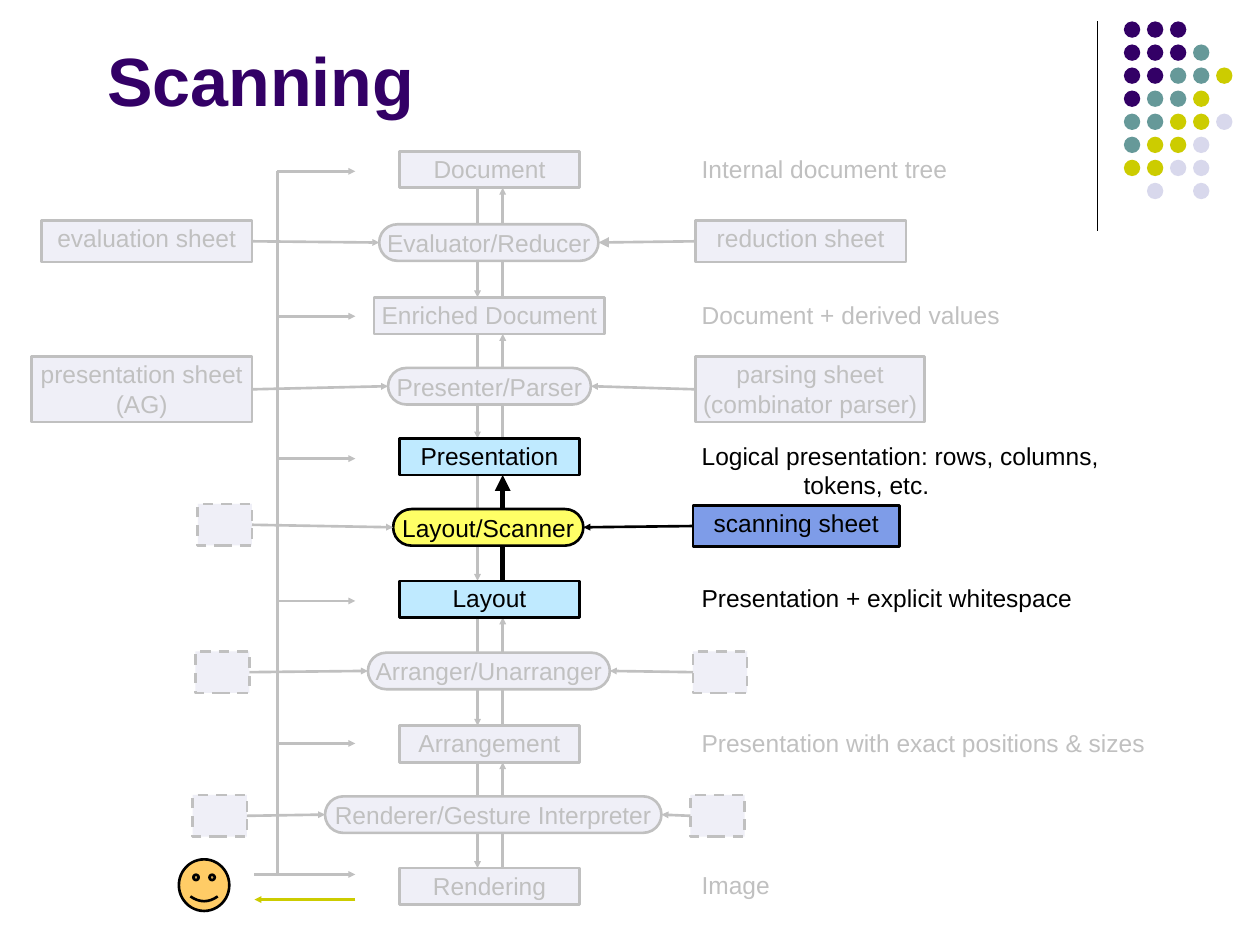
from lxml import etree
from pptx import Presentation
from pptx.dml.color import RGBColor
from pptx.enum.dml import MSO_LINE
from pptx.enum.shapes import MSO_CONNECTOR, MSO_SHAPE
from pptx.enum.text import MSO_ANCHOR, PP_ALIGN
from pptx.oxml.ns import qn
from pptx.util import Inches, Pt

BLACK, GREY, PALE = "000000", "C0C0C0", "EFEFF7"
DIMMED = (PALE, GREY)  # fill, and colour of line and text
ACTIVE_LEVEL = ("BFEAFF", BLACK)
ACTIVE_STEP = ("FFFF66", BLACK)
ACTIVE_SHEET = ("7E9CE8", BLACK)

# name, top, left, width, style, note, y of the rail arrow
LEVELS = [
    ("Document", 1.2, 3.17, 1.43, DIMMED, "Internal document tree", 1.36),
    ("Enriched Document", 2.36, 2.97, 1.83, DIMMED, "Document + derived values", 2.51),
    ("Presentation", 3.48, 3.17, 1.43, ACTIVE_LEVEL,
     "Logical presentation: rows, columns, tokens, etc.", 3.64),
    ("Layout", 4.61, 3.17, 1.43, ACTIVE_LEVEL, "Presentation + explicit whitespace", 4.77),
    ("Arrangement", 5.76, 3.17, 1.43, DIMMED, "Presentation with exact positions & sizes", 5.9),
    ("Rendering", 6.89, 3.17, 1.43, DIMMED, "Image", 6.94),
]
# name, left, top, width, style
STEPS = [
    ("Evaluator/Reducer", 3.01, 1.78, 1.74, DIMMED),
    ("Presenter/Parser", 3.08, 2.92, 1.61, DIMMED),
    ("Layout/Scanner", 3.12, 4.04, 1.51, ACTIVE_STEP),
    ("Arranger/Unarranger", 2.92, 5.18, 1.92, DIMMED),
    ("Renderer/Gesture Interpreter", 2.58, 6.32, 2.67, DIMMED),
]
# one pair per step: lines of text, left, top, width, height, style
SHEETS = [
    ((["evaluation sheet"], 0.33, 1.75, 1.67, 0.33, DIMMED),
     (["reduction sheet"], 5.52, 1.75, 1.67, 0.33, DIMMED)),
    ((["presentation sheet", "(AG)"], 0.25, 2.83, 1.75, 0.52, DIMMED),
     (["parsing sheet", "(combinator parser)"], 5.52, 2.83, 1.82, 0.52, DIMMED)),
    (([], 1.57, 4, 0.43, 0.33, DIMMED),
     (["scanning sheet"], 5.5, 4.01, 1.64, 0.33, ACTIVE_SHEET)),
    (([], 1.55, 5.17, 0.43, 0.33, DIMMED), ([], 5.5, 5.17, 0.43, 0.33, DIMMED)),
    (([], 1.53, 6.31, 0.43, 0.33, DIMMED), ([], 5.48, 6.31, 0.43, 0.33, DIMMED)),
]
DOT_COLORS = {"P": "330066", "T": "669999", "Y": "CCCC00", "L": "D8D8EC"}
DOT_ROWS = ["PPP", "PPPT", "PPTTY", "PTTY", "TTYYL", "TYYL", "YYLL", " L L"]
DOT_PITCH = 0.183
BOX_HEIGHT = 0.29
RAIL_X, DOWN_X, UP_X = 2.2, 3.79, 3.99
RIGHT_SIDE, LEFT_SIDE = 3, 1

deck = Presentation()
deck.slide_width, deck.slide_height = Inches(10), Inches(7.5)
page = deck.slides.add_slide(deck.slide_layouts[5])


def rgb(color):
    return RGBColor.from_string(color)


def add_span(para, text, size, color, bold=False):
    span = para.add_run()
    span.text = text
    span.font.name, span.font.size, span.font.bold = "Arial", Pt(size), bold
    span.font.color.rgb = rgb(color)


def add_line(x1, y1, x2, y2, color=GREY, width=1.5, head=None):
    """Draw a straight line; head is the arrowhead size at its end."""
    line = page.shapes.add_connector(
        MSO_CONNECTOR.STRAIGHT, Inches(x1), Inches(y1), Inches(x2), Inches(y2))
    line.line.color.rgb, line.line.width = rgb(color), Pt(width)
    if head:
        etree.SubElement(line.line._get_or_add_ln(), qn("a:tailEnd"),
                         type="triangle", w=head, len=head)
    etree.SubElement(line._element.spPr, qn("a:effectLst"))
    return line


def add_box(kind, left, top, width, height, fill, outline=None, lines=(), anchor=MSO_ANCHOR.TOP):
    box = page.shapes.add_shape(kind, Inches(left), Inches(top), Inches(width), Inches(height))
    box.shadow.inherit = False
    box.fill.solid()
    box.fill.fore_color.rgb = rgb(fill)
    if outline:
        box.line.color.rgb, box.line.width = rgb(outline), Pt(1.5)
    else:
        box.line.fill.background()
    frame = box.text_frame
    frame.word_wrap, frame.vertical_anchor = False, anchor
    frame.margin_left = frame.margin_right = Inches(0.05)
    frame.margin_top = frame.margin_bottom = Inches(0.02)
    for number, text in enumerate(lines):
        para = frame.add_paragraph() if number else frame.paragraphs[0]
        para.alignment = PP_ALIGN.CENTER
        add_span(para, text, 14, outline)
    return box


def add_note(text, top, color):
    box = page.shapes.add_textbox(Inches(5.47), Inches(top), Inches(3.94), Inches(0.36))
    box.text_frame.word_wrap = True
    para = box.text_frame.paragraphs[0]
    properties = para._p.get_or_add_pPr()
    properties.set("marL", str(Inches(0.81)))  # wrapped lines hang to the right
    properties.set("indent", str(-Inches(0.81)))
    add_span(para, text, 14, color)
    return box


# Corner ornament
add_line(8.71, 0.17, 8.71, 1.83, BLACK, 0.75)
for row, codes in enumerate(DOT_ROWS):
    for column, code in enumerate(codes):
        if code in DOT_COLORS:
            add_box(MSO_SHAPE.OVAL, 8.92 + column * DOT_PITCH, 0.17 + row * DOT_PITCH,
                    0.13, 0.13, DOT_COLORS[code])

title = page.shapes.title
title.left, title.top, title.width, title.height = Inches(0.75), 0, Inches(8.5), Inches(1.25)
title.text_frame.vertical_anchor = MSO_ANCHOR.MIDDLE
title.text_frame.paragraphs[0].alignment = PP_ALIGN.LEFT
add_span(title.text_frame.paragraphs[0], "Scanning", 39, "330066", True)

# Rail and the arrows between neighbouring levels, behind the boxes
add_line(RAIL_X, LEVELS[0][-1], RAIL_X, LEVELS[-1][-1])
for upper, lower, step in zip(LEVELS, LEVELS[1:], STEPS):
    bottom, next_top = upper[1] + BOX_HEIGHT, lower[1]
    add_line(DOWN_X, bottom, DOWN_X, next_top, head="sm")
    if step[-1] == ACTIVE_STEP:
        add_line(UP_X, next_top, UP_X, bottom, BLACK, 3, "med")
    else:
        add_line(UP_X, next_top, UP_X, bottom, head="sm")

for name, top, left, width, style, note, arrow_y in LEVELS:
    add_box(MSO_SHAPE.RECTANGLE, left, top, width, BOX_HEIGHT, *style, [name])
    note_box = add_note(note, top - 0.03, style[1])
    if name == "Presentation":
        note_box.width = Inches(3.78)
    rail_start = 2.02 if name == "Rendering" else RAIL_X
    add_line(rail_start, arrow_y, 2.82, arrow_y, head="sm")

for (name, left, top, width, style), pair in zip(STEPS, SHEETS):
    pill = add_box(MSO_SHAPE.ROUNDED_RECTANGLE, left, top, width, BOX_HEIGHT, *style,
                   [name], MSO_ANCHOR.MIDDLE)
    pill.adjustments[0] = 0.5
    for sheet, from_side, to_side in zip(pair, (RIGHT_SIDE, LEFT_SIDE), (LEFT_SIDE, RIGHT_SIDE)):
        lines, *place, sheet_style = sheet
        box = add_box(MSO_SHAPE.RECTANGLE, *place, *sheet_style, lines)
        if not lines:
            box.line.dash_style = MSO_LINE.DASH
        head = "med" if lines == ["reduction sheet"] else "sm"
        arrow = add_line(0, 0, 1, 1, sheet_style[1], head=head)
        arrow.begin_connect(box, from_side)
        arrow.end_connect(pill, to_side)

# The user and the way back from the rendering
add_line(2.82, 7.14, 2.02, 7.14, "CCCC00", head="sm")
add_box(MSO_SHAPE.SMILEY_FACE, 1.42, 6.82, 0.4, 0.41, "FFCC66", BLACK)

deck.save("out.pptx")
